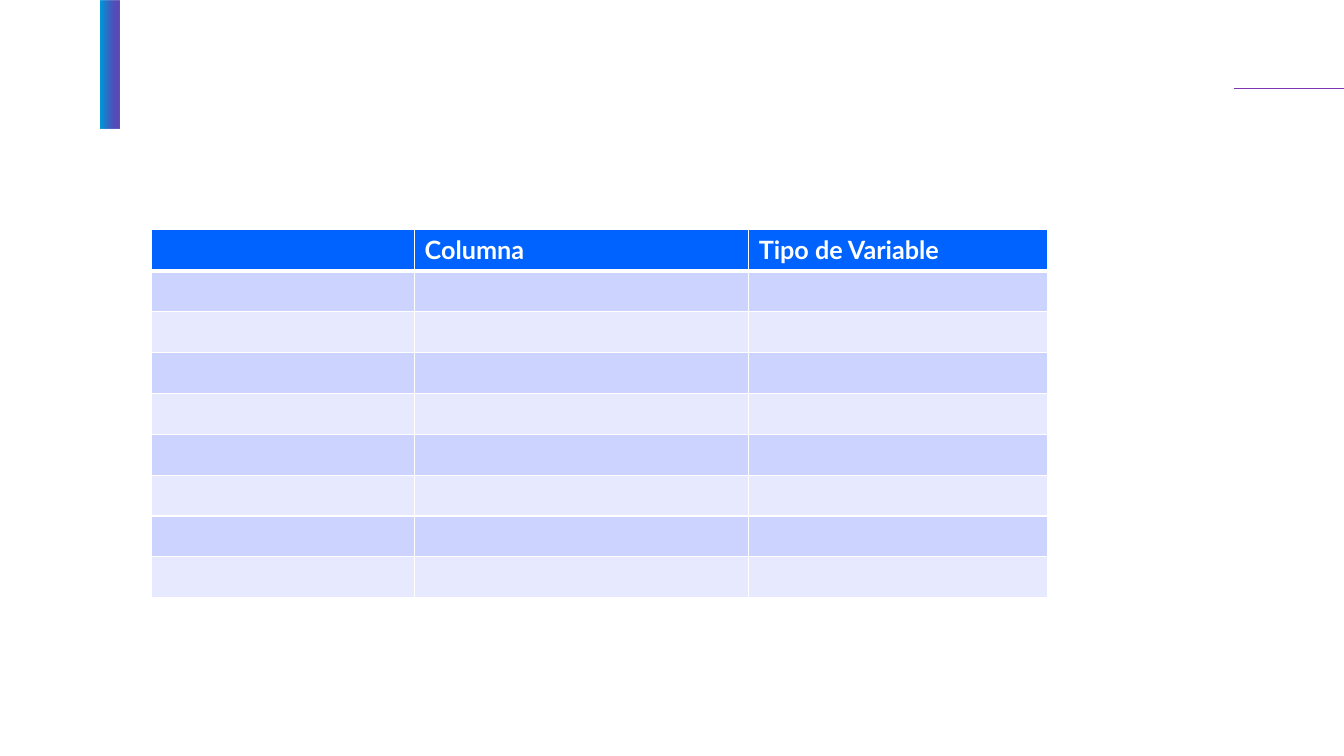
import pptx
import pptx.util
import pptx.dml.color
import pptx.enum.shapes
import pptx.oxml
import pptx.oxml.ns

Pt = pptx.util.Pt
qn = pptx.oxml.ns.qn


def color(value):
    return pptx.dml.color.RGBColor.from_string(value)


def add_border(cell, side, width):
    properties = cell._tc.get_or_add_tcPr()
    edge = pptx.oxml.parse_xml(
        f'<a:ln{side} {pptx.oxml.ns.nsdecls("a")} w="{Pt(width)}">'
        '<a:solidFill><a:srgbClr val="FFFFFF"/></a:solidFill>'
        f'</a:ln{side}>')
    properties.append(edge)


deck = pptx.Presentation()
deck.slide_width = Pt(960)
deck.slide_height = Pt(540)
slide = deck.slides.add_slide(deck.slide_layouts[6])

top_rule = slide.shapes.add_connector(
    pptx.enum.shapes.MSO_CONNECTOR.STRAIGHT, Pt(881.3), Pt(63.2), Pt(960), Pt(63.2))
top_rule.line.color.rgb = color("7E36B4")
top_rule.line.width = Pt(0.5)
top_rule._element.spPr.append(pptx.oxml.parse_xml(
    f'<a:effectLst {pptx.oxml.ns.nsdecls("a")}/>'))

accent_bar = slide.shapes.add_shape(
    pptx.enum.shapes.MSO_SHAPE.RECTANGLE, Pt(72), Pt(0.7), Pt(13), Pt(91))
accent_bar.shadow.inherit = False
accent_bar.line.fill.background()
accent_bar.fill.gradient()
accent_bar.fill.gradient_angle = 0
for stop, (position, shade) in zip(
        accent_bar.fill.gradient_stops, [(0, "009ADA"), (0.75, "3B2CAC")]):
    stop.position = position
    stop.color.rgb = color(shade)
violet = accent_bar._element.spPr.findall(".//" + qn("a:srgbClr"))[-1]
violet.append(pptx.oxml.parse_xml(
    f'<a:alpha {pptx.oxml.ns.nsdecls("a")} val="85000"/>'))

headings = ["", "Columna", "Tipo de Variable"]
column_widths = [187.9, 238.6, 213.4]
row_count = 9
row_height = 29.2
variables = slide.shapes.add_table(
    row_count, len(headings), Pt(108.3), Pt(164.2),
    Pt(sum(column_widths)), Pt(row_count * row_height)).table
for column, width in zip(variables.columns, column_widths):
    column.width = Pt(width)

heading_format = {"name": "Lato", "size": Pt(18), "bold": True}
for row_number, row in enumerate(variables.rows):
    row.height = Pt(row_height)
    band = "0062FF" if row_number == 0 else ("E7EAFF", "CCD3FF")[row_number % 2]
    top_width = 3 if row_number == 1 else 1
    bottom_width = 3 if row_number == 0 else 1
    for cell, heading in zip(row.cells, headings):
        for side, width in [("L", 1), ("R", 1), ("T", top_width), ("B", bottom_width)]:
            add_border(cell, side, width)
        cell.fill.solid()
        cell.fill.fore_color.rgb = color(band)
        if row_number == 0 and heading:
            cell.text = heading
            heading_font = cell.text_frame.paragraphs[0].runs[0].font
            for attribute, value in heading_format.items():
                setattr(heading_font, attribute, value)
            heading_font.color.rgb = color("FFFFFF")

deck.save("out.pptx")
